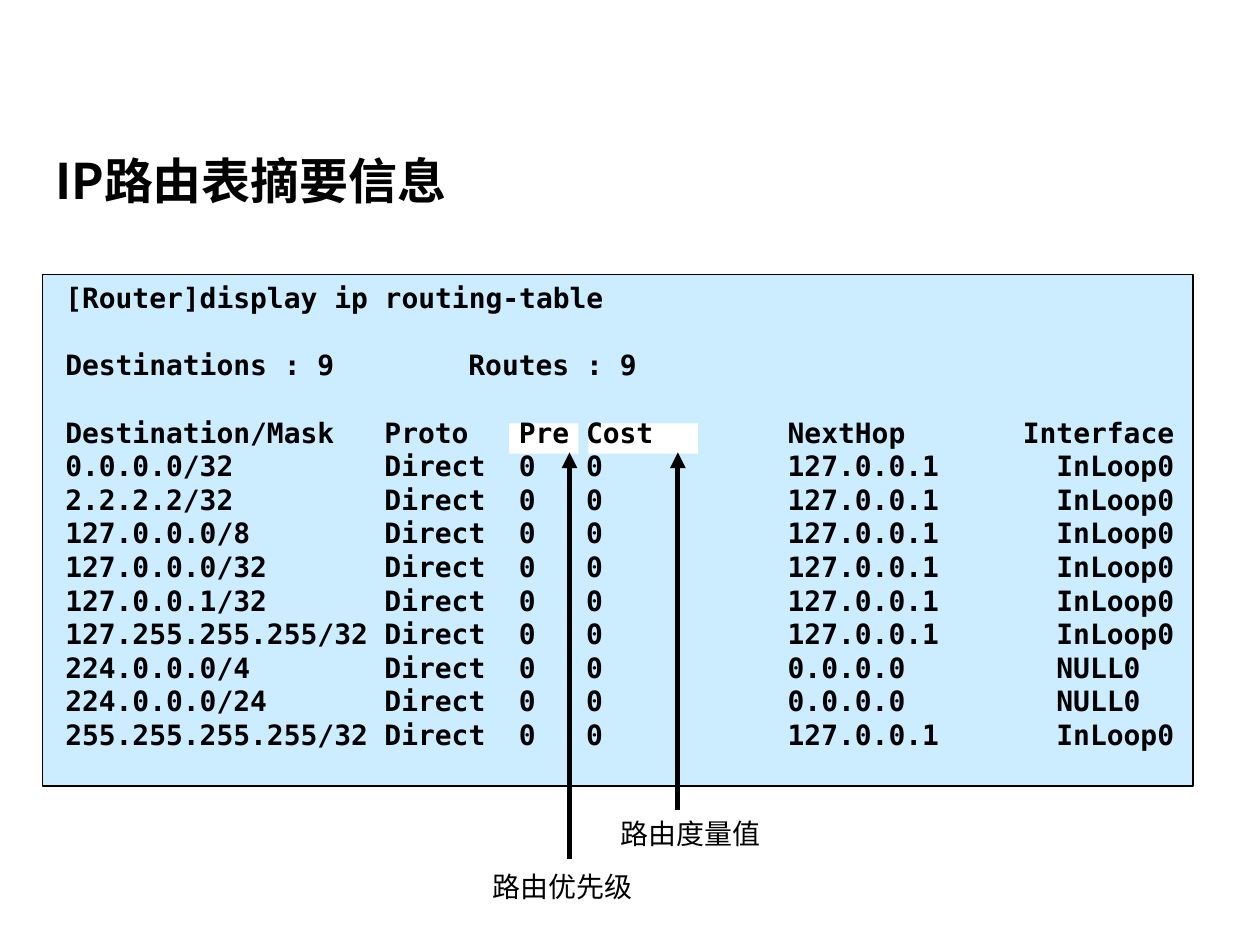
from dataclasses import dataclass

from lxml import etree
from pptx import Presentation, util as u
from pptx.dml.color import RGBColor
from pptx.enum import shapes, text
from pptx.oxml import ns


@dataclass(frozen=True)
class Theme:
    """Colours, fonts and sizes of the slide."""
    ink: str = "000000"
    panel: str = "CCECFF"
    highlight: str = "FFFFFF"
    cjk_font: str = "Noto Sans CJK JP"
    code_font: str = "DejaVu Sans Mono"
    label_font: str = "Arial"
    title_size: float = 28
    body_size: float = 16
    blank_line: float = 19.2
    char_width: float = 9.6


THEME = Theme()
COMMAND = "[Router]display ip routing-table"
COUNTS = ("Destinations : 9", "Routes : 9")
HEADER = ("Destination/Mask", "Proto", "Pre", "Cost", "NextHop", "Interface")
COUNT_STOPS = (24,)
HEADER_STOPS = (19, 27, 31, 43, 57)
ROUTE_STOPS = (19, 27, 31, 43, 59)
LOOPBACK = ("127.0.0.1", "InLoop0")
DISCARD = ("0.0.0.0", "NULL0")
ROUTES = (
    ("0.0.0.0/32", LOOPBACK),
    ("2.2.2.2/32", LOOPBACK),
    ("127.0.0.0/8", LOOPBACK),
    ("127.0.0.0/32", LOOPBACK),
    ("127.0.0.1/32", LOOPBACK),
    ("127.255.255.255/32", LOOPBACK),
    ("224.0.0.0/4", DISCARD),
    ("224.0.0.0/24", DISCARD),
    ("255.255.255.255/32", LOOPBACK),
)


def add_element(parent, tag, **attributes):
    """Append a drawing element to an XML parent."""
    return etree.SubElement(parent, ns.qn(tag), **attributes)


def style_spans(para, font, size, bold=False):
    """Format every run of a paragraph."""
    for span in para.runs:
        span.font.size = u.Pt(size)
        span.font.bold = bold
        span.font.color.rgb = RGBColor.from_string(THEME.ink)
        span.font.name = font
        add_element(span.font._element, "a:ea", typeface=THEME.cjk_font)


def add_box(page, left, top, width, height, anchor=text.MSO_ANCHOR.TOP):
    """Add an empty wrapping text box and return its text frame."""
    box = page.shapes.add_textbox(*map(u.Inches, (left, top, width, height)))
    box.text_frame.word_wrap = True
    box.text_frame.vertical_anchor = anchor
    return box.text_frame


def add_title(page, wording):
    """Add the slide title."""
    frame = add_box(page, 0.34, 1.07, 8.61, 0.71, text.MSO_ANCHOR.MIDDLE)
    frame.text = wording
    style_spans(frame.paragraphs[0], THEME.cjk_font, THEME.title_size, True)


def add_rectangle(page, left, top, width, height, fill, outlined=False):
    """Add a filled rectangle, with or without an outline."""
    box = page.shapes.add_shape(
        shapes.MSO_SHAPE.RECTANGLE, *map(u.Inches, (left, top, width, height)))
    box.shadow.inherit = False
    box.fill.solid()
    box.fill.fore_color.rgb = RGBColor.from_string(fill)
    if outlined:
        box.line.color.rgb = RGBColor.from_string(THEME.ink)
        box.line.width = u.Pt(0.75)
    else:
        box.line.fill.background()


def set_tabs(para, stops):
    """Set tab stops counted in characters."""
    tabs = add_element(para._p.get_or_add_pPr(), "a:tabLst")
    for stop in stops:
        add_element(tabs, "a:tab", pos=str(u.Pt(stop * THEME.char_width)), algn="l")


def add_listing(page):
    """Add the console output with its columns on tab stops."""
    frame = add_box(page, 0.42, 2.18, 9.06, 3.87)
    lines = [((COMMAND,), (), 0),
             (COUNTS, COUNT_STOPS, THEME.blank_line),
             (HEADER, HEADER_STOPS, THEME.blank_line)]
    lines += [((mask, "Direct", "0", "0", *target), ROUTE_STOPS, 0)
              for mask, target in ROUTES]
    frame.text = "\n".join("\t".join(cells) for cells, _, _ in lines)
    for para, (_, stops, gap) in zip(frame.paragraphs, lines):
        if stops:
            set_tabs(para, stops)
        if gap:
            para.space_before = u.Pt(gap)
        style_spans(para, THEME.code_font, THEME.body_size, True)


def add_arrow(page, x, bottom, top):
    """Add an upward arrow."""
    arrow = page.shapes.add_connector(
        shapes.MSO_CONNECTOR.STRAIGHT, *map(u.Inches, (x, bottom, x, top)))
    arrow.line.color.rgb = RGBColor.from_string(THEME.ink)
    arrow.line.width = u.Pt(3)
    add_element(arrow.line._get_or_add_ln(), "a:tailEnd", type="triangle")
    add_element(arrow._element.spPr, "a:effectLst")


def add_label(page, left, top, wording):
    """Add the caption of an arrow."""
    frame = add_box(page, left, top, 1.58, 0.37)
    frame.text = wording
    style_spans(frame.paragraphs[0], THEME.label_font, THEME.body_size)


def main():
    """Build and save the slide."""
    deck = Presentation()
    deck.slide_width, deck.slide_height = u.Inches(10), u.Inches(7.5)
    page = deck.slides.add_slide(deck.slide_layouts[6])
    add_title(page, "IP路由表摘要信息")
    add_rectangle(page, 0.34, 2.18, 9.13, 4.06, THEME.panel, outlined=True)
    for left, width in ((4.04, 0.55), (4.67, 0.87)):
        add_rectangle(page, left, 3.36, width, 0.24, THEME.highlight)
    add_listing(page)
    for x, bottom, left, top, wording in (
            (5.38, 6.43, 4.83, 6.43, "路由度量值"),
            (4.52, 6.82, 3.81, 6.85, "路由优先级")):
        add_arrow(page, x, bottom, 3.59)
        add_label(page, left, top, wording)
    deck.save("out.pptx")


if __name__ == "__main__":
    main()
